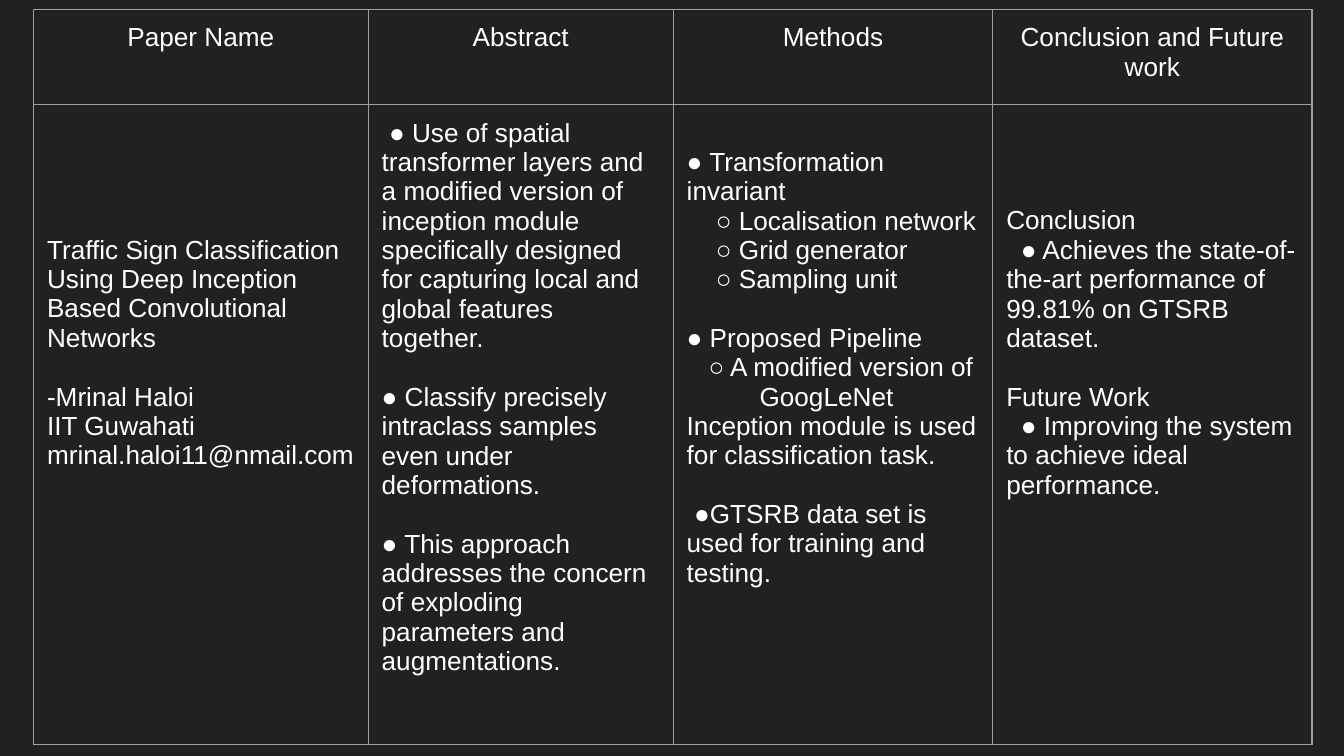
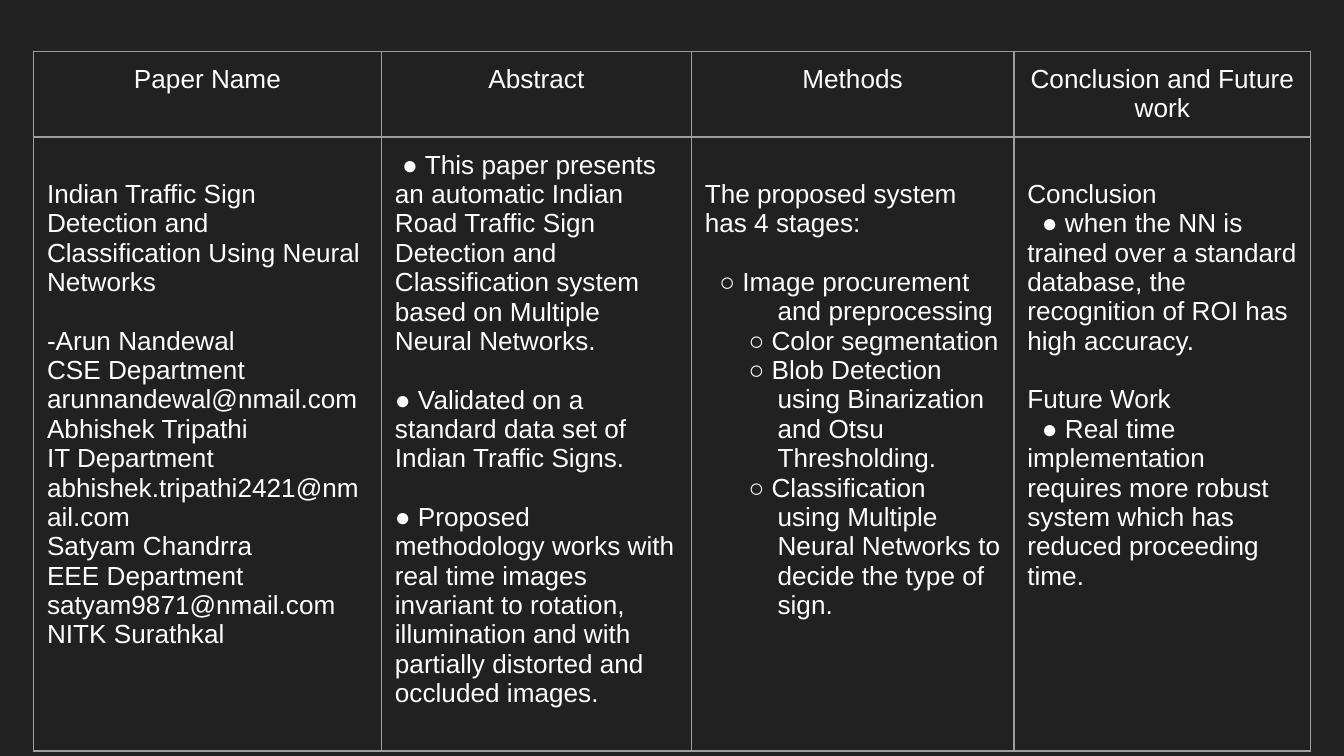
from dataclasses import dataclass

from lxml import etree
from pptx import Presentation
from pptx.dml.color import RGBColor
from pptx.enum.text import MSO_ANCHOR, PP_ALIGN
from pptx.oxml.ns import qn
from pptx.util import Pt

CENTER = PP_ALIGN.CENTER
LEFT = PP_ALIGN.LEFT
TOP = MSO_ANCHOR.TOP
BLANK_LAYOUT = 6
HEADINGS = ["Paper Name", "Abstract", "Methods", "Conclusion and Future work"]


@dataclass(frozen=True)
class Theme:
    background: str = "212121"
    text: str = "FFFFFF"
    border: str = "9E9E9E"
    border_width: float = 0.75
    font: str = "Arial"
    size: float = 14
    line: float = 15.7
    step: float = 3.9
    inset: float = 7.2
    left: float = 18


@dataclass(frozen=True)
class Line:
    """A paragraph: gap counts lines above it, first and rest count indent steps."""
    text: str
    gap: int = 0
    first: int = 0
    rest: int = 0


class ReviewDeck:
    def __init__(self, theme):
        self.theme = theme
        self.deck = Presentation()
        self.deck.slide_width = Pt(720)
        self.deck.slide_height = Pt(405)
        self.page = None

    def add_page(self):
        self.page = self.deck.slides.add_slide(self.deck.slide_layouts[BLANK_LAYOUT])
        fill = self.page.background.fill
        fill.solid()
        fill.fore_color.rgb = RGBColor.from_string(self.theme.background)

    def add_review(self, top, widths, heights, columns):
        """Add a table with one heading and one list of lines per column."""
        frame = self.page.shapes.add_table(
            len(heights), len(widths), Pt(self.theme.left), Pt(top),
            Pt(sum(widths)), Pt(sum(heights)))
        table = frame.table
        table.first_row = False
        table.horz_banding = False
        for row, height in zip(table.rows, heights):
            row.height = Pt(height)
        for index, (width, lines) in enumerate(zip(widths, columns)):
            table.columns[index].width = Pt(width)
            self.fill_cell(table.cell(0, index), [Line(HEADINGS[index])], CENTER)
            self.fill_cell(table.cell(1, index), lines, LEFT)

    def fill_cell(self, cell, lines, alignment):
        theme = self.theme
        self.add_borders(cell)
        cell.fill.background()
        cell.vertical_anchor = TOP
        cell.margin_left = cell.margin_right = cell.margin_bottom = Pt(theme.inset)
        cell.margin_top = Pt(theme.inset + lines[0].gap * theme.line)
        for index, line in enumerate(lines):
            frame = cell.text_frame
            para = frame.add_paragraph() if index else frame.paragraphs[0]
            para.alignment = alignment
            if index and line.gap:
                para.space_before = Pt(line.gap * theme.line)
            if line.first or line.rest:
                properties = para._p.get_or_add_pPr()
                properties.set("marL", str(Pt(line.rest * theme.step)))
                properties.set("indent", str(Pt((line.first - line.rest) * theme.step)))
            self.add_span(para, line.text)

    def add_span(self, para, text):
        span = para.add_run()
        span.text = text
        span.font.name = self.theme.font
        span.font.size = Pt(self.theme.size)
        span.font.color.rgb = RGBColor.from_string(self.theme.text)

    def add_borders(self, cell):
        properties = cell._tc.get_or_add_tcPr()
        for side in ("a:lnL", "a:lnR", "a:lnT", "a:lnB"):
            edge = etree.SubElement(properties, qn(side), w=str(Pt(self.theme.border_width)))
            fill = etree.SubElement(edge, qn("a:solidFill"))
            etree.SubElement(fill, qn("a:srgbClr"), val=self.theme.border)

    def save(self):
        self.deck.save("out.pptx")


INCEPTION_PAPER = [
    [
        Line("Traffic Sign Classification Using Deep Inception Based "
             "Convolutional Networks", gap=4),
        Line("-Mrinal Haloi", gap=1),
        Line("IIT Guwahati"),
        Line("mrinal.haloi11@nmail.com"),
    ],
    [
        Line("● Use of spatial transformer layers and a modified version of "
             "inception module specifically designed for capturing local and "
             "global features together.", first=1),
        Line("● Classify precisely intraclass samples even under deformations.", gap=1),
        Line("● This approach", gap=1),
        Line("addresses the concern of exploding parameters and augmentations."),
    ],
    [
        Line("● Transformation invariant", gap=1),
        Line("○ Localisation network", first=4),
        Line("○ Grid generator", first=4),
        Line("○ Sampling unit", first=4),
        Line("● Proposed Pipeline", gap=1),
        Line("○ A modified version of", first=3),
        Line("GoogLeNet", first=10),
        Line("Inception module is used for classification task."),
        Line("●GTSRB data set is used for training and testing.", gap=1, first=1),
    ],
    [
        Line("Conclusion", gap=3),
        Line("● Achieves the state-of-the-art performance of 99.81% on GTSRB "
             "dataset.", first=2),
        Line("Future Work", gap=1),
        Line("● Improving the system to achieve ideal performance.", first=2),
    ],
]

INDIAN_SIGNS_PAPER = [
    [
        Line("Indian Traffic Sign Detection and Classification Using Neural "
             "Networks", gap=1),
        Line("-Arun Nandewal", gap=1),
        Line("CSE Department"),
        Line("arunnandewal@nmail.com"),
        Line("Abhishek Tripathi"),
        Line("IT Department"),
        Line("abhishek.tripathi2421@nmail.com"),
        Line("Satyam Chandrra"),
        Line("EEE Department"),
        Line("satyam9871@nmail.com"),
        Line("NITK Surathkal"),
    ],
    [
        Line("● This paper presents an automatic Indian Road Traffic Sign "
             "Detection and Classification system based on Multiple Neural "
             "Networks.", first=1),
        Line("● Validated on a standard data set of Indian Traffic Signs.", gap=1),
        Line("● Proposed methodology works with real time images invariant to "
             "rotation, illumination and with partially distorted and occluded "
             "images.", gap=1),
    ],
    [
        Line("The proposed system has 4 stages:", gap=1),
        Line("○ Image procurement and preprocessing", gap=1, first=2, rest=10),
        Line("○ Color segmentation", first=6),
        Line("○ Blob Detection", first=6),
        Line("using Binarization", first=10),
        Line("and Otsu", first=10),
        Line("Thresholding.", first=10),
        Line("○ Classification", first=6),
        Line("using Multiple", first=10),
        Line("Neural Networks to", first=10),
        Line("decide the type of", first=10),
        Line("sign.", first=10),
    ],
    [
        Line("Conclusion", gap=1),
        Line("● when the NN is trained over a standard database, the "
             "recognition of ROI has high accuracy.", first=2),
        Line("Future Work", gap=1),
        Line("● Real time implementation requires more robust system which has "
             "reduced proceeding time.", first=2),
    ],
]


def main():
    review = ReviewDeck(Theme())
    review.add_page()
    review.add_review(5.2, [179.3, 163.4, 171.2, 171], [51, 342.6], INCEPTION_PAPER)
    review.add_page()
    review.add_review(27.4, [186.4, 166, 172.8, 159.1], [46, 329], INDIAN_SIGNS_PAPER)
    review.save()


if __name__ == "__main__":
    main()
